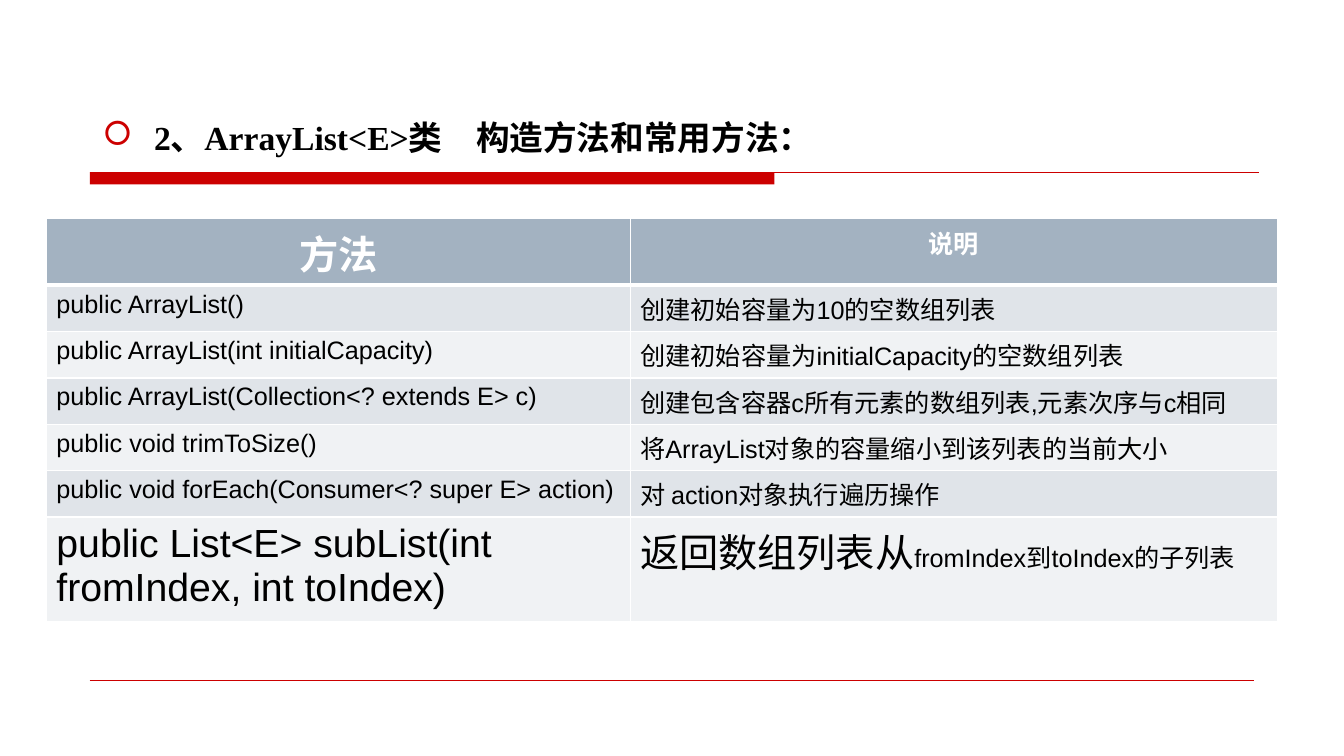
from lxml.etree import SubElement
from pptx import Presentation
from pptx.dml.color import RGBColor as Color
from pptx.enum.shapes import MSO_CONNECTOR as Connector, MSO_SHAPE as Shape
from pptx.enum.text import PP_ALIGN as Align
from pptx.oxml.ns import qn
from pptx.util import Inches, Pt

HEADING = "2、ArrayList<E>类　构造方法和常用方法："
THEME = {
    "red": "CC0000", "black": "000000", "white": "FFFFFF",
    "header": "A3B2C1", "bands": ("E0E4E9", "F0F2F4"),
    "heading_size": 24, "large": 28, "body": 18,
    "heading_font": "Times New Roman", "body_font": "Arial", "bullet_font": "Wingdings",
}
LARGE, BODY = THEME["large"], THEME["body"]

# Each cell is a list of (text, size) spans.
HEADER = ([("方法", LARGE)], [("说明", BODY)])
METHODS = [
    ("public ArrayList()", "创建初始容量为10的空数组列表"),
    ("public ArrayList(int initialCapacity)", "创建初始容量为initialCapacity的空数组列表"),
    ("public ArrayList(Collection<? extends E> c)", "创建包含容器c所有元素的数组列表,元素次序与c相同"),
    ("public void trimToSize()", "将ArrayList对象的容量缩小到该列表的当前大小"),
    ("public void forEach(Consumer<? super E> action)", "对 action对象执行遍历操作"),
]
SUBLIST = (
    [("public List<E> subList(int fromIndex, int toIndex)", LARGE)],
    [("返回数组列表从", LARGE), ("fromIndex到toIndex的子列表", BODY)],
)
ROWS = [HEADER, *[[[(text, BODY)] for text in pair] for pair in METHODS], SUBLIST]

TABLE_LEFT, TABLE_TOP = 0.46, 2.17
COLUMN_WIDTHS = (5.79, 6.42)
ROW_HEIGHTS = [0.66, *[0.46] * len(METHODS), 0.96]
RULE_LEFT, RULE_TOP = 0.89, 1.71
RULES = [(RULE_TOP, 12.49, 0.75), (6.75, 12.44, 0.25)]  # y, right end, points


def add_span(para, text, size, color, font, bold):
    span = para.add_run()
    span.text = text
    for name, value in {"size": Pt(size), "name": font, "bold": bold}.items():
        setattr(span.font, name, value)
    span.font.color.rgb = Color.from_string(color)


def add_rules(page):
    bar = page.shapes.add_shape(Shape.RECTANGLE, Inches(RULE_LEFT), Inches(RULE_TOP),
                                Inches(6.79), Inches(0.12))
    bar.shadow.inherit = False
    bar.fill.solid()
    bar.fill.fore_color.rgb = Color.from_string(THEME["red"])
    bar.line.fill.background()
    for y, right, weight in RULES:
        rule = page.shapes.add_connector(Connector.STRAIGHT, Inches(RULE_LEFT), Inches(y),
                                         Inches(right), Inches(y))
        rule.line.color.rgb = Color.from_string(THEME["red"])
        rule.line.width = Pt(weight)
        SubElement(rule._element.spPr, qn("a:effectLst"))


def add_heading(page):
    box = page.shapes.add_textbox(Inches(0.92), Inches(1), Inches(7.43), Inches(0.66))
    box.text_frame.word_wrap = True
    para = box.text_frame.paragraphs[0]
    para.line_spacing = Pt(37)
    props = para._p.get_or_add_pPr()
    props.set("marL", str(Inches(0.51)))
    props.set("indent", str(Inches(-0.51)))
    bullet_color = SubElement(props, qn("a:buClr"))
    SubElement(bullet_color, qn("a:srgbClr"), val=THEME["red"])
    SubElement(props, qn("a:buFont"), typeface=THEME["bullet_font"])
    SubElement(props, qn("a:buChar"), char="□")
    add_span(para, HEADING, THEME["heading_size"], THEME["black"],
             THEME["heading_font"], True)


def add_borders(cell, bottom, top):
    """Draw white cell borders; bottom and top are weights in points."""
    props = cell._tc.get_or_add_tcPr()
    for side, weight in {"L": 1, "R": 1, "T": top, "B": bottom}.items():
        border = SubElement(props, qn(f"a:ln{side}"), w=str(Pt(weight)))
        fill = SubElement(border, qn("a:solidFill"))
        SubElement(fill, qn("a:srgbClr"), val=THEME["white"])


def add_method_table(page):
    table = page.shapes.add_table(
        len(ROWS), len(COLUMN_WIDTHS), Inches(TABLE_LEFT), Inches(TABLE_TOP),
        Inches(sum(COLUMN_WIDTHS)), Inches(sum(ROW_HEIGHTS))).table
    for column, width in zip(table.columns, COLUMN_WIDTHS):
        column.width = Inches(width)
    for r, (row, height) in enumerate(zip(ROWS, ROW_HEIGHTS)):
        table.rows[r].height = Inches(height)
        is_header = r == 0
        fill = THEME["header"] if is_header else THEME["bands"][(r - 1) % 2]
        color = THEME["white"] if is_header else THEME["black"]
        for c, spans in enumerate(row):
            cell = table.cell(r, c)
            add_borders(cell, bottom=3 if is_header else 1, top=3 if r == 1 else 1)
            cell.fill.solid()
            cell.fill.fore_color.rgb = Color.from_string(fill)
            para = cell.text_frame.paragraphs[0]
            para.alignment = Align.CENTER if is_header else Align.LEFT
            for text, size in spans:
                add_span(para, text, size, color, THEME["body_font"], is_header)


def main():
    deck = Presentation()
    deck.slide_width, deck.slide_height = Inches(13.33), Inches(7.5)
    page = deck.slides.add_slide(deck.slide_layouts[6])
    add_rules(page)
    add_heading(page)
    add_method_table(page)
    deck.save("out.pptx")


if __name__ == "__main__":
    main()
